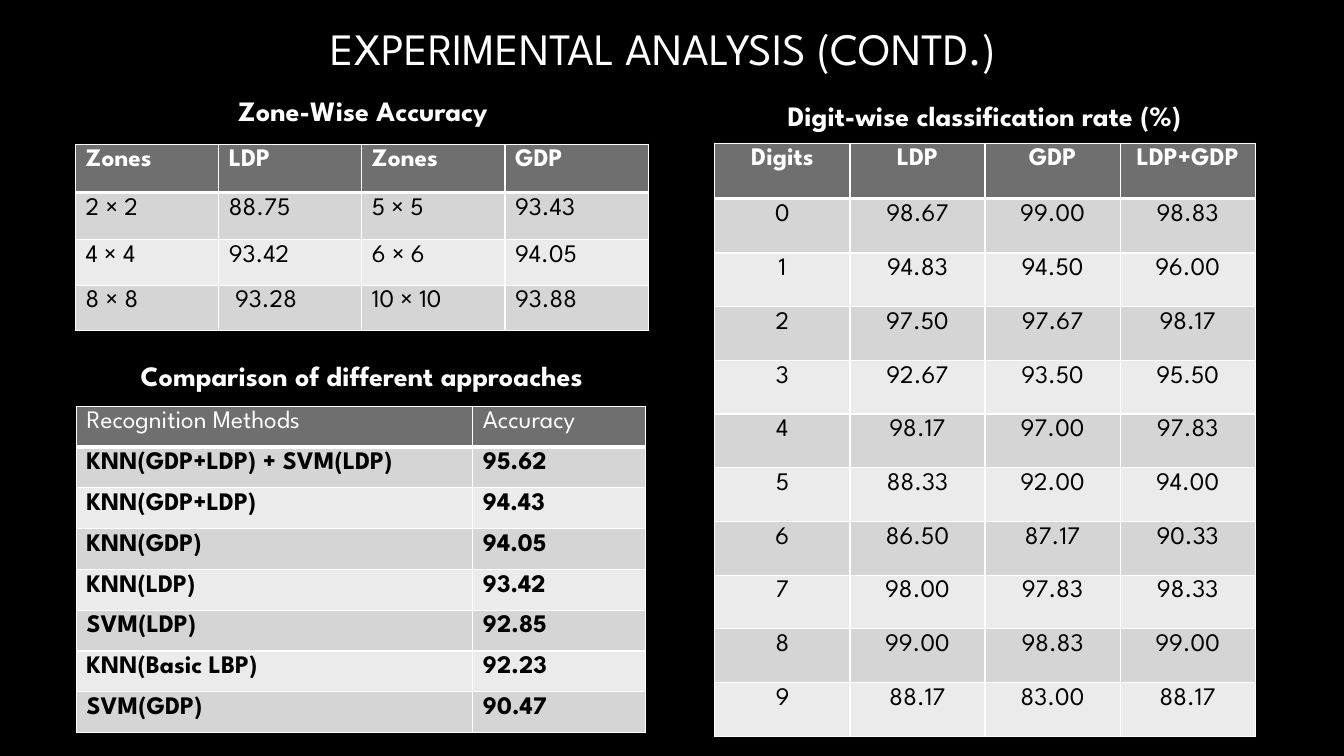
"""Builds the slide with zone, method and digit accuracy tables."""
from lxml.etree import SubElement
from pptx import Presentation
from pptx.dml.color import RGBColor
from pptx.enum.text import MSO_ANCHOR, MSO_AUTO_SIZE, PP_ALIGN
from pptx.oxml.ns import qn
from pptx.util import Inches, Pt

FONT = "League Spartan"
BLACK, WHITE, HEADER = "000000", "FFFFFF", "6F6F6F"
BANDS = ["D5D5D5", "EBEBEB"]

TITLE = ("EXPERIMENTAL ANALYSIS (CONTD.)", (0.75, 0.16, 11.67, 0.64))
ZONES = [
    ("Zones", "LDP", "Zones", "GDP"),
    ("2 × 2", "88.75", "5 × 5", "93.43"),
    ("4 × 4", "93.42", "6 × 6", "94.05"),
    ("8 × 8", " 93.28", "10 × 10", "93.88"),
]
METHODS = [
    ("Recognition Methods", "Accuracy"),
    ("KNN(GDP+LDP) + SVM(LDP)", "95.62"),
    ("KNN(GDP+LDP)", "94.43"),
    ("KNN(GDP)", "94.05"),
    ("KNN(LDP)", "93.42"),
    ("SVM(LDP)", "92.85"),
    ("KNN(Basic LBP)", "92.23"),
    ("SVM(GDP)", "90.47"),
]
DIGITS = [
    ("Digits", "LDP", "GDP", "LDP+GDP"),
    ("0", "98.67", "99.00", "98.83"),
    ("1", "94.83", "94.50", "96.00"),
    ("2", "97.50", "97.67", "98.17"),
    ("3", "92.67", "93.50", "95.50"),
    ("4", "98.17", "97.00", "97.83"),
    ("5", "88.33", "92.00", "94.00"),
    ("6", "86.50", "87.17", "90.33"),
    ("7", "98.00", "97.83", "98.33"),
    ("8", "99.00", "98.83", "99.00"),
    ("9", "88.17", "83.00", "88.17"),
]
SECTIONS = [
    dict(caption="Zone-Wise Accuracy", caption_box=(0.77, 0.88, 5.66, 0.44),
         rows=ZONES, corner=(0.75, 1.43), widths=[1.42] * 4,
         heights=[0.48, 0.47, 0.45, 0.45],
         align=PP_ALIGN.LEFT, bold_header=True, bold_body=False),
    dict(caption="Comparison of different approaches", caption_box=(0.78, 3.51, 5.62, 0.44),
         rows=METHODS, corner=(0.76, 4.03), widths=[3.93, 1.71],
         heights=[0.405] * 8,
         align=PP_ALIGN.LEFT, bold_header=False, bold_body=True),
    dict(caption="Digit-wise classification rate (%)", caption_box=(7.11, 0.93, 5.31, 0.44),
         rows=DIGITS, corner=(7.09, 1.42), widths=[1.34] * 4,
         heights=[0.55, 0.54] + [0.533] * 9,
         align=PP_ALIGN.CENTER, bold_header=True, bold_body=False),
]


def color(value):
    return RGBColor.from_string(value)


def write(frame, text, size, ink, bold, align):
    paragraph = frame.paragraphs[0]
    paragraph.text = text
    paragraph.alignment = align
    font = paragraph.font
    font.name, font.size, font.bold = FONT, Pt(size), bold
    font.color.rgb = color(ink)


def write_heading(shape, text, box, size, bold):
    shape.left, shape.top, shape.width, shape.height = map(Inches, box)
    frame = shape.text_frame
    frame.word_wrap = True
    frame.auto_size = MSO_AUTO_SIZE.SHAPE_TO_FIT_TEXT
    frame.vertical_anchor = MSO_ANCHOR.TOP
    write(frame, text, size, WHITE, bold, PP_ALIGN.CENTER)


def add_borders(cell, top, bottom):
    properties = cell._tc.get_or_add_tcPr()
    sides = [("a:lnL", 1), ("a:lnR", 1), ("a:lnT", top), ("a:lnB", bottom)]
    for place, (side, points) in enumerate(sides):
        line = SubElement(properties, qn(side), w=str(Pt(points)))
        fill = SubElement(line, qn("a:solidFill"))
        SubElement(fill, qn("a:srgbClr"), val=WHITE)
        properties.insert(place, line)


def add_section(slide, section):
    caption = slide.shapes.add_textbox(*map(Inches, section["caption_box"]))
    write_heading(caption, section["caption"], section["caption_box"], 20, True)

    rows, widths, heights = section["rows"], section["widths"], section["heights"]
    extent = (*section["corner"], sum(widths), sum(heights))
    table = slide.shapes.add_table(len(rows), len(widths), *map(Inches, extent)).table
    for column, width in zip(table.columns, widths):
        column.width = Inches(width)
    for index, (values, height) in enumerate(zip(rows, heights)):
        table.rows[index].height = Inches(height)
        is_header = index == 0
        band = HEADER if is_header else BANDS[(index - 1) % 2]
        ink = WHITE if is_header else BLACK
        bold = section["bold_header"] if is_header else section["bold_body"]
        for cell, value in zip(table.rows[index].cells, values):
            write(cell.text_frame, value, 18, ink, bold, section["align"])
            cell.fill.solid()
            cell.fill.fore_color.rgb = color(band)
            add_borders(cell, 3 if index == 1 else 1, 3 if is_header else 1)


def main():
    deck = Presentation()
    deck.slide_width, deck.slide_height = Inches(13.33), Inches(7.5)
    slide = deck.slides.add_slide(deck.slide_layouts[5])
    slide.background.fill.solid()
    slide.background.fill.fore_color.rgb = color(BLACK)
    write_heading(slide.shapes.title, *TITLE, 32, False)
    for section in SECTIONS:
        add_section(slide, section)
    deck.save("out.pptx")


if __name__ == "__main__":
    main()
